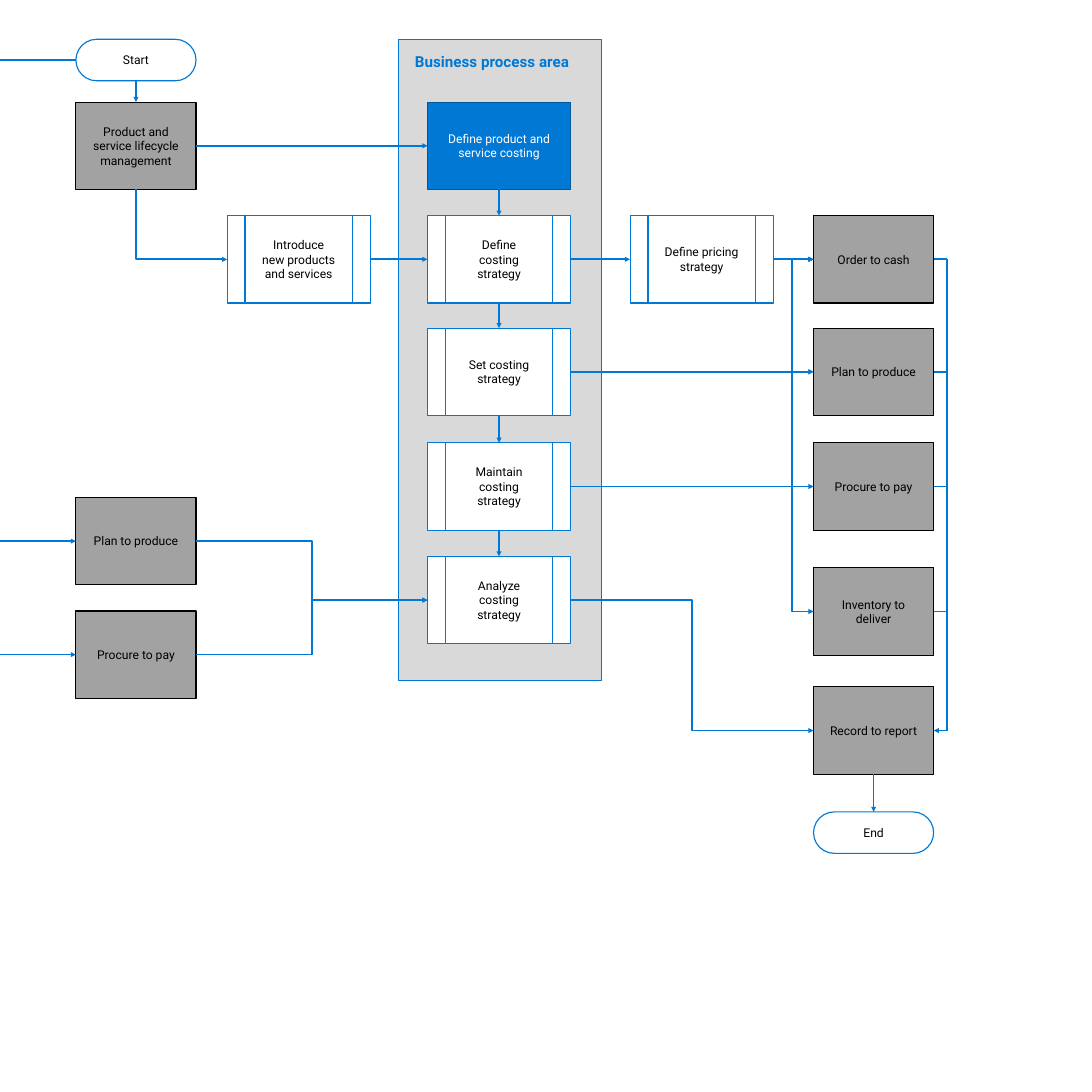
from lxml import etree
from pptx import Presentation
from pptx import util as u
from pptx.dml.color import RGBColor
from pptx.enum import shapes, text
from pptx.oxml import ns

COLORS = {
    "blue": "0078D4", "navy": "00599D", "gray": "A2A2A2",
    "pale": "D9D9D9", "white": "FFFFFF", "black": "000000",
}
SLIDE_SIDE = 1440
TRUNK_X = 1249.2
COLUMN_X = {"source": 100.08, "intro": 299.52, "costing": 563.76,
            "pricing": 830.88, "target": 1072.8}
ROW_Y = {"terminal": 51.84, "lifecycle": 134.64, "define": 284.4, "set": 432.72,
         "maintain": 583.92, "plan": 655.92, "analyze": 733.68, "inventory": 748.8,
         "procure": 805.68, "report": 905.76, "end": 1070.64}
AREA = ("Business process area", 525.6, 51.84, 267.12, 846)
STYLES = {
    "terminal": (shapes.MSO_SHAPE.ROUNDED_RECTANGLE, 158.4, 54.72, "white", "blue", "black"),
    "external": (shapes.MSO_SHAPE.RECTANGLE, 158.4, 115.2, "gray", "black", "black"),
    "process": (shapes.MSO_SHAPE.FLOWCHART_PREDEFINED_PROCESS, 188.64, 115.2,
                "white", "blue", "black"),
    "focus": (shapes.MSO_SHAPE.RECTANGLE, 188.64, 115.2, "blue", "navy", "white"),
}
STEPS = {
    "start": ("Start", "terminal", "source", "terminal"),
    "lifecycle": ("Product and service lifecycle management", "external", "source", "lifecycle"),
    "source plan": ("Plan to produce", "external", "source", "plan"),
    "source procure": ("Procure to pay", "external", "source", "procure"),
    "introduce": ("Introduce new products and services", "process", "intro", "define"),
    "costing": ("Define product and service costing", "focus", "costing", "lifecycle"),
    "define": ("Define costing strategy", "process", "costing", "define"),
    "set": ("Set costing strategy", "process", "costing", "set"),
    "maintain": ("Maintain costing strategy", "process", "costing", "maintain"),
    "analyze": ("Analyze costing strategy", "process", "costing", "analyze"),
    "pricing": ("Define pricing strategy", "process", "pricing", "define"),
    "order": ("Order to cash", "external", "target", "define"),
    "plan": ("Plan to produce", "external", "target", "set"),
    "procure": ("Procure to pay", "external", "target", "maintain"),
    "inventory": ("Inventory to deliver", "external", "target", "inventory"),
    "report": ("Record to report", "external", "target", "report"),
    "end": ("End", "terminal", "target", "end"),
}
DOWNWARD = [("start", "lifecycle"), ("costing", "define"), ("define", "set"),
            ("set", "maintain"), ("maintain", "analyze"), ("report", "end")]
ACROSS = [("lifecycle", "costing"), ("introduce", "define"), ("define", "pricing"),
          ("pricing", "order"), ("set", "plan"), ("maintain", "procure")]
STEPPED = [("source plan", "analyze", 0.5), ("source procure", "analyze", 0.5),
           ("set", "order", 0.91), ("maintain", "order", 0.91),
           ("maintain", "plan", 0.91), ("maintain", "inventory", 0.91),
           ("analyze", "report", 0.5)]
REPORTED = ["order", "plan", "procure", "inventory"]
FROM_EDGE = [("start", None), ("source plan", "tailEnd"), ("source procure", "tailEnd")]
TOP, LEFT, BOTTOM, RIGHT = range(4)
STRAIGHT, ELBOW = shapes.MSO_CONNECTOR.STRAIGHT, shapes.MSO_CONNECTOR.ELBOW


def rgb(color):
    return RGBColor.from_string(COLORS[color])


def write(shape, words, size=16, color="black", bold=False,
          align=text.PP_ALIGN.CENTER, anchor=text.MSO_ANCHOR.MIDDLE):
    frame = shape.text_frame
    frame.word_wrap = True
    frame.vertical_anchor = anchor
    frame.margin_left = frame.margin_right = u.Pt(21.6)
    frame.margin_top = frame.margin_bottom = u.Pt(17.28)
    paragraph = frame.paragraphs[0]
    paragraph.alignment = align
    run = paragraph.add_run()
    run.text = words
    run.font.name = "Roboto"
    run.font.size = u.Pt(size)
    run.font.bold = bold
    run.font.color.rgb = rgb(color)


def add_block(slide, kind, x, y, width, height, fill, outline):
    block = slide.shapes.add_shape(kind, *map(u.Pt, (x, y, width, height)))
    block.shadow.inherit = False
    block.fill.solid()
    block.fill.fore_color.rgb = rgb(fill)
    block.line.color.rgb = rgb(outline)
    block.line.width = u.Pt(1.5)
    return block


def add_step(slide, words, style, column, row):
    kind, width, height, fill, outline, ink = STYLES[style]
    step = add_block(slide, kind, COLUMN_X[column], ROW_Y[row], width, height, fill, outline)
    if style == "terminal":
        step.adjustments[0] = 0.5
    write(step, words, color=ink)
    return step


def level_with(step, x):
    return u.Pt(x), step.top + step.height // 2


def is_point(place):
    return isinstance(place[0], int)


def add_link(slide, begin, end, route=STRAIGHT, arrow="tailEnd"):
    corners = [place if is_point(place) else (0, 0) for place in (begin, end)]
    link = slide.shapes.add_connector(route, *corners[0], *corners[1])
    if not is_point(begin):
        link.begin_connect(*begin)
    if not is_point(end):
        link.end_connect(*end)
    link.line.color.rgb = rgb("blue")
    link.line.width = u.Pt(2.25)
    if arrow:
        etree.SubElement(link.line._get_or_add_ln(), ns.qn(f"a:{arrow}"), type="triangle")
    etree.SubElement(link._element.spPr, ns.qn("a:effectLst"))
    return link


def set_bend(link, ratio):
    guides = link._element.spPr.find(".//" + ns.qn("a:avLst"))
    etree.SubElement(guides, ns.qn("a:gd"), name="adj1", fmla=f"val {round(ratio * 100000)}")


def main():
    deck = Presentation()
    deck.slide_width = deck.slide_height = u.Pt(SLIDE_SIDE)
    slide = deck.slides.add_slide(deck.slide_layouts[6])

    title, *bounds = AREA
    area = add_block(slide, shapes.MSO_SHAPE.RECTANGLE, *bounds, "pale", "blue")
    write(area, title, size=20, color="blue", bold=True,
          align=text.PP_ALIGN.LEFT, anchor=text.MSO_ANCHOR.TOP)
    steps = {key: add_step(slide, *step) for key, step in STEPS.items()}

    for pairs, leave, enter in ((DOWNWARD, BOTTOM, TOP), (ACROSS, RIGHT, LEFT)):
        for first, second in pairs:
            add_link(slide, (steps[first], leave), (steps[second], enter))
    for first, second, ratio in STEPPED:
        link = add_link(slide, (steps[first], RIGHT), (steps[second], LEFT), ELBOW)
        set_bend(link, ratio)
    for key, arrow in FROM_EDGE:
        add_link(slide, level_with(steps[key], 0), (steps[key], LEFT), arrow=arrow)

    for key in REPORTED:
        add_link(slide, (steps[key], RIGHT), level_with(steps[key], TRUNK_X), arrow=None)
    trunk_top = level_with(steps[REPORTED[0]], TRUNK_X)
    trunk_foot = level_with(steps["report"], TRUNK_X)
    add_link(slide, trunk_top, trunk_foot, arrow=None)
    add_link(slide, trunk_foot, (steps["report"], RIGHT))

    corner = add_link(slide, (steps["introduce"], LEFT), (steps["lifecycle"], BOTTOM),
                      ELBOW, "headEnd")
    corner._element.spPr.find(ns.qn("a:prstGeom")).set("prst", "bentConnector2")

    deck.save("out.pptx")


if __name__ == "__main__":
    main()
